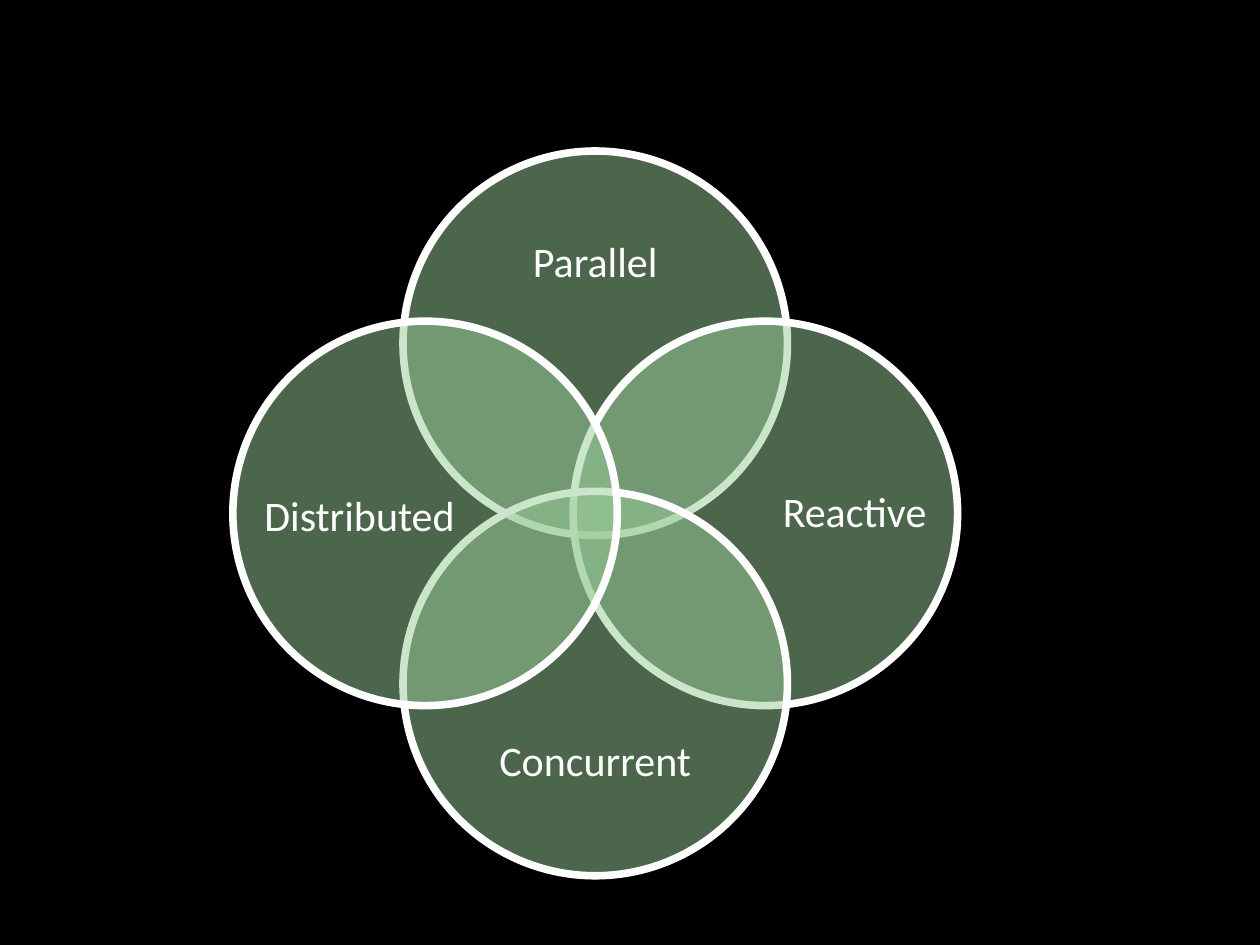
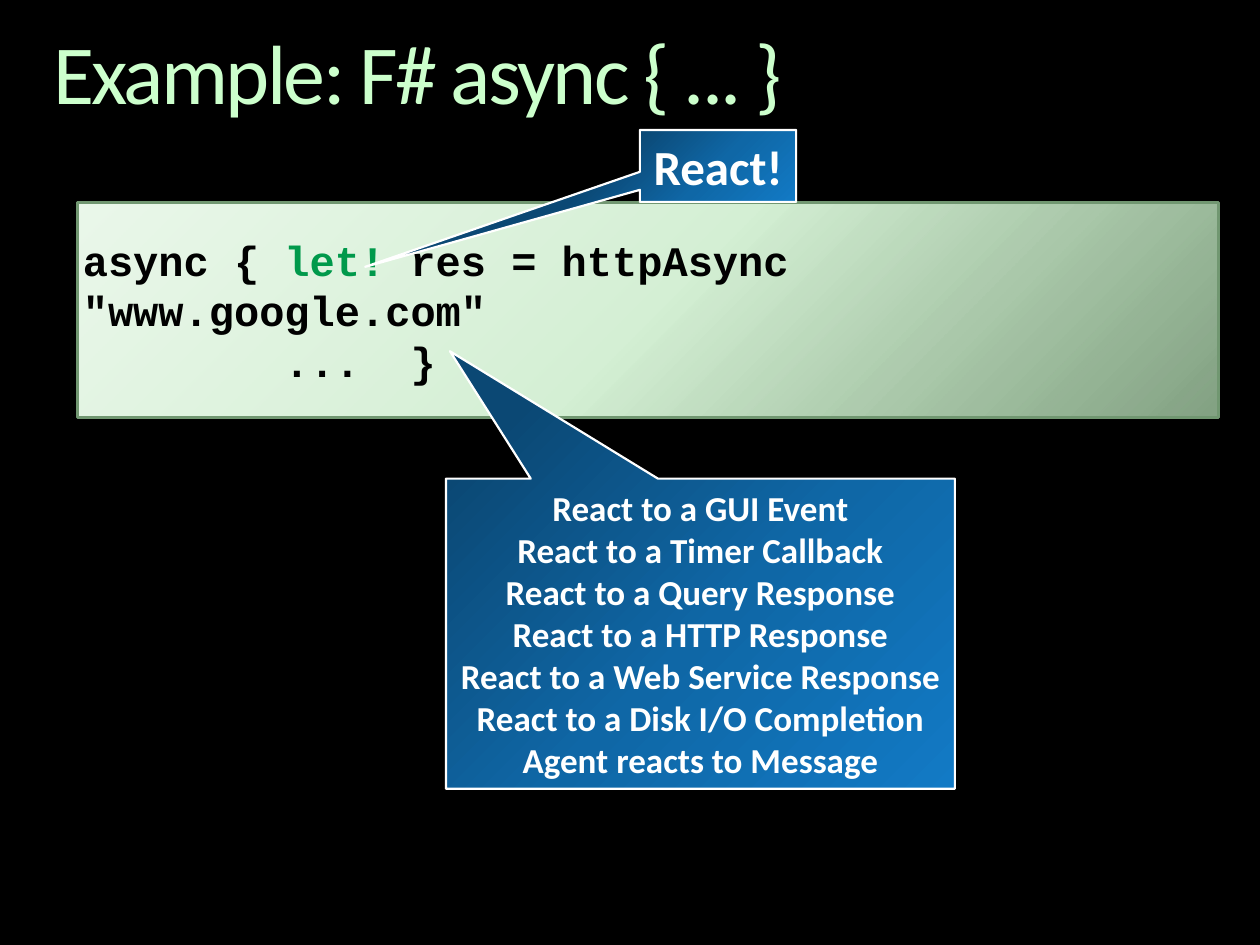
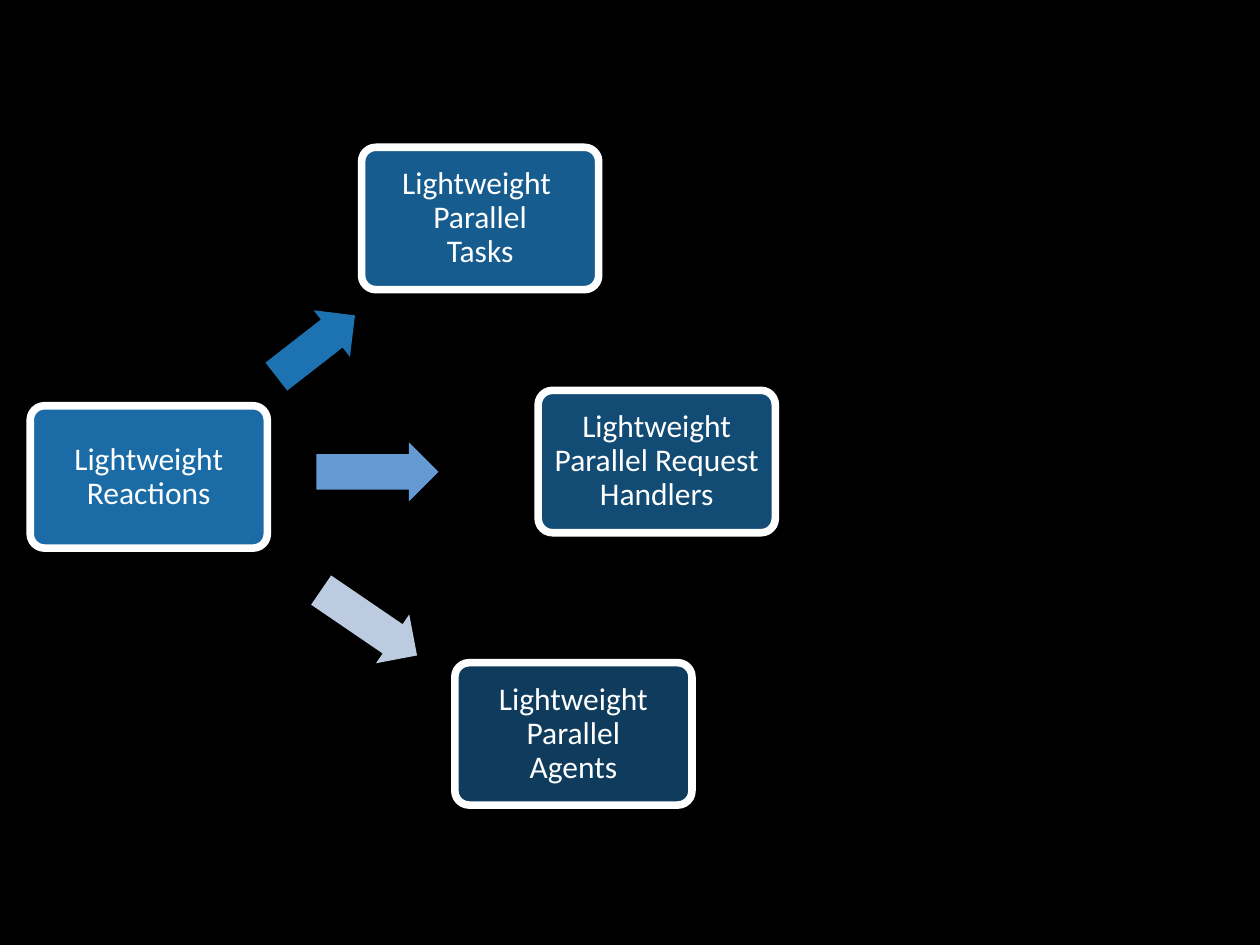
from dataclasses import dataclass

from lxml import etree
from pptx import Presentation
from pptx.dml.color import RGBColor
from pptx.enum.shapes import MSO_SHAPE
from pptx.enum.text import MSO_ANCHOR, MSO_AUTO_SIZE, PP_ALIGN
from pptx.oxml.ns import qn
from pptx.util import Cm, Pt

ELLIPSE = MSO_SHAPE.OVAL
RECTANGLE = MSO_SHAPE.RECTANGLE
ROUNDED = MSO_SHAPE.ROUNDED_RECTANGLE
ARROW = MSO_SHAPE.RIGHT_ARROW
CALLOUT = MSO_SHAPE.RECTANGULAR_CALLOUT
TOP, MIDDLE = MSO_ANCHOR.TOP, MSO_ANCHOR.MIDDLE
LEFT, CENTER = PP_ALIGN.LEFT, PP_ALIGN.CENTER
TITLE_ONLY, BLANK = 5, 6


@dataclass(frozen=True)
class Theme:
    font: str = "Calibri"
    code_font: str = "Courier New"
    background: str = "000000"
    light: str = "FFFFFF"
    dark: str = "000000"
    title: str = "CCFFCC"
    keyword: str = "00994B"
    circle: str = "99CC99"
    box: str = "1E78B9"
    code_line: str = "719771"
    code_stops: tuple = ((0, "BBE7BB", 69), (50, "D4EFD4", 100), (100, "EAF7EA", 100))
    callout_stops: tuple = ((0, "0B4874", 100), (50, "0F67A6", 100), (100, "127AC5", 100))
    title_size: int = 48
    callout_size: int = 28
    label_size: int = 24
    list_size: int = 20
    box_size: int = 18
    heavy_line: float = 4.33
    code_line_width: float = 1.75
    callout_line: float = 1.25


THEME = Theme()

VENN_CENTER = (12, 10.35)
VENN_DIAMETER = 7.75
VENN_OFFSET = 3.43
VENN = [
    ("Parallel", (0, -1), (0, -5.03), (5.97, 2.46)),
    ("Reactive", (1, 0), (5.23, 0), (2.97, 5.97)),
    ("Concurrent", (0, 1), (0, 5.03), (5.97, 2.46)),
    ("Distributed", (-1, 0), (-4.75, 0.09), (4.9, 1.27)),
]

TITLE = "Example: F# async { ... }"
CODE = [
    ("async { ", "let!", ' res = httpAsync "www.google.com"'),
    ("        ...  }",),
]
REACTIONS = [
    "React to a GUI Event",
    "React to a Timer Callback",
    "React to a Query Response",
    "React to a HTTP Response",
    "React to a Web Service Response",
    "React to a Disk I/O Completion",
    "Agent reacts to Message",
]
CALLOUTS = [
    (["React!"], (12.9, 2.62, 3.15, 1.45), (-2.258, 1.404), THEME.callout_size),
    (REACTIONS, (8.99, 9.65, 10.26, 6.25), (-0.492, -0.911), THEME.list_size),
]

BOX_SIZE = (4.78, 2.87)
BOXES = [
    ("Lightweight Reactions", (0.61, 8.18), 90),
    ("Lightweight \nParallel\nTasks", (7.29, 2.97), 77),
    ("Lightweight Parallel Request Handlers", (10.85, 7.87), 63),
    ("Lightweight\nParallel\nAgents", (9.17, 13.36), 50),
]
ARROW_HEIGHT = 1.19
ARROWS = [
    ((5.36, 6.38), 2.01, 322.1, "1D73B1"),
    ((6.38, 8.92), 2.46, 0, "6599D1"),
    ((6.27, 11.96), 2.34, 34.3, "BDCBE0"),
]


def centered(x, y, width, height):
    return x - width / 2, y - height / 2, width, height


def write_text(shape, paragraphs, *, size, color=THEME.light, accent=None, font=THEME.font,
               bold=False, align=CENTER, anchor=MIDDLE, spacing=1.0, insets=(0, 0),
               wrap=True, tracking=None):
    frame = shape.text_frame
    frame.auto_size = MSO_AUTO_SIZE.NONE
    frame.word_wrap = wrap
    frame.vertical_anchor = anchor
    frame.margin_left = frame.margin_right = Cm(insets[0])
    frame.margin_top = frame.margin_bottom = Cm(insets[1])
    for number, pieces in enumerate(paragraphs):
        paragraph = frame.add_paragraph() if number else frame.paragraphs[0]
        paragraph.alignment = align
        paragraph.line_spacing = spacing
        for index, piece in enumerate((pieces,) if isinstance(pieces, str) else pieces):
            for line_number, line in enumerate(piece.split("\n")):
                if line_number:
                    paragraph.add_line_break()
                run = paragraph.add_run()
                run.text = line
                run.font.name = font
                run.font.size = Pt(size)
                run.font.bold = bold
                run.font.color.rgb = RGBColor.from_string(accent if index % 2 else color)
                if tracking:
                    run.font._element.set("spc", str(tracking))


def add_label(slide, text, area, **style):
    label = slide.shapes.add_textbox(*map(Cm, area))
    write_text(label, [text], **style)


def set_alpha(color_element, percent):
    if percent < 100:
        etree.SubElement(color_element, qn("a:alpha"), val=str(percent * 1000))


def fill_gradient(shape, stops, angle):
    shape.fill.gradient()
    shape.fill.gradient_angle = angle
    stop_list = next(shape._element.spPr.iter(qn("a:gsLst")))
    for stop in list(stop_list):
        stop_list.remove(stop)
    for position, color, alpha in stops:
        stop = etree.SubElement(stop_list, qn("a:gs"), pos=str(position * 1000))
        set_alpha(etree.SubElement(stop, qn("a:srgbClr"), val=color), alpha)


def add_shape(slide, kind, area, *, fill=None, alpha=100, stops=None, angle=0,
              line=None, line_width=0, adjustments=()):
    shape = slide.shapes.add_shape(kind, *map(Cm, area))
    shape.shadow.inherit = False
    for index, value in enumerate(adjustments):
        shape.adjustments[index] = value
    if stops:
        fill_gradient(shape, stops, angle)
    else:
        shape.fill.solid()
        shape.fill.fore_color.rgb = RGBColor.from_string(fill)
        set_alpha(next(shape._element.spPr.iter(qn("a:srgbClr"))), alpha)
    if line:
        shape.line.color.rgb = RGBColor.from_string(line)
        shape.line.width = Pt(line_width)
    else:
        shape.line.fill.background()
    return shape


def build_venn(presentation):
    slide = presentation.slides.add_slide(presentation.slide_layouts[BLANK])
    center_x, center_y = VENN_CENTER
    for text, (step_x, step_y), (shift_x, shift_y), label_size in VENN:
        circle = centered(center_x + step_x * VENN_OFFSET, center_y + step_y * VENN_OFFSET,
                          VENN_DIAMETER, VENN_DIAMETER)
        add_shape(slide, ELLIPSE, circle, fill=THEME.circle, alpha=50,
                  line=THEME.light, line_width=THEME.heavy_line)
        add_label(slide, text, centered(center_x + shift_x, center_y + shift_y, *label_size),
                  size=THEME.label_size, spacing=0.9, wrap=False)


def build_async_example(presentation):
    slide = presentation.slides.add_slide(presentation.slide_layouts[TITLE_ONLY])
    title = slide.shapes.title
    title.left, title.top, title.width, title.height = map(Cm, (1.07, 0.64, 23.29, 1.85))
    write_text(title, [TITLE], size=THEME.title_size, color=THEME.title, align=LEFT,
               anchor=TOP, spacing=0.9, tracking=-150)
    code = add_shape(slide, RECTANGLE, (1.57, 4.09, 22.99, 4.32), stops=THEME.code_stops,
                     angle=135, line=THEME.code_line, line_width=THEME.code_line_width)
    write_text(code, CODE, size=THEME.label_size, color=THEME.dark, accent=THEME.keyword,
               font=THEME.code_font, bold=True, align=LEFT, insets=(0.1, 0.1))
    for lines, area, pointer, size in CALLOUTS:
        callout = add_shape(slide, CALLOUT, area, stops=THEME.callout_stops, angle=315,
                            line=THEME.light, line_width=THEME.callout_line,
                            adjustments=pointer)
        write_text(callout, lines, size=size, bold=True, insets=(0.25, 0.13), wrap=False)


def build_reactions(presentation):
    slide = presentation.slides.add_slide(presentation.slide_layouts[BLANK])
    for text, position, alpha in BOXES:
        box = add_shape(slide, ROUNDED, position + BOX_SIZE, fill=THEME.box, alpha=alpha,
                        line=THEME.light, line_width=THEME.heavy_line, adjustments=(0.1,))
        write_text(box, [text], size=THEME.box_size, spacing=0.9, insets=(0.18, 0.18))
    for position, width, rotation, color in ARROWS:
        arrow = add_shape(slide, ARROW, position + (width, ARROW_HEIGHT), fill=color,
                          adjustments=(0.6, 0.5))
        arrow.rotation = rotation


def main():
    presentation = Presentation()
    presentation.slide_width, presentation.slide_height = Cm(25.4), Cm(19.05)
    background = presentation.slide_master.background.fill
    background.solid()
    background.fore_color.rgb = RGBColor.from_string(THEME.background)
    build_venn(presentation)
    build_async_example(presentation)
    build_reactions(presentation)
    presentation.save("out.pptx")


if __name__ == "__main__":
    main()
